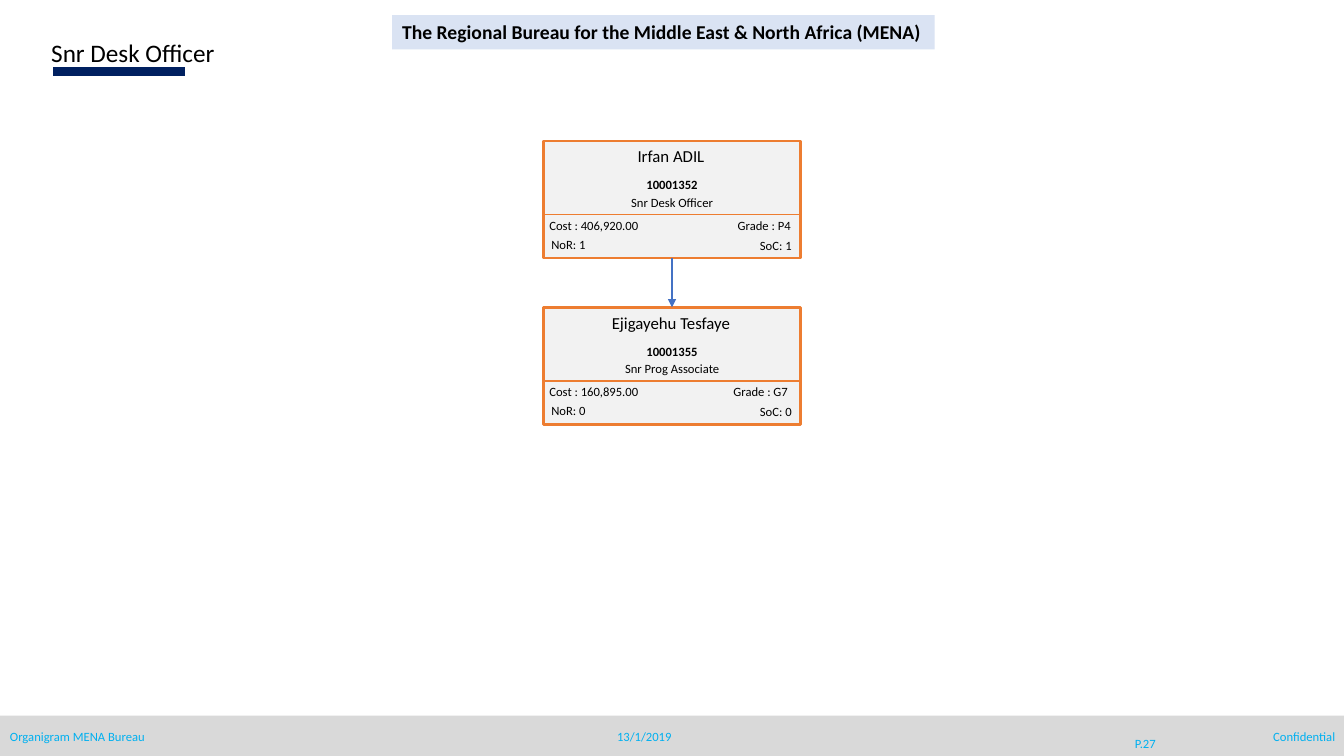
"""Build the Snr Desk Officer organigram slide."""
from pptx import Presentation
from pptx.dml.color import RGBColor
from pptx.enum.shapes import MSO_CONNECTOR, MSO_SHAPE
from pptx.enum.text import MSO_ANCHOR, PP_ALIGN
from pptx.oxml.ns import qn
from pptx.util import Inches, Pt
from lxml import etree

LEFT, CENTER, RIGHT = PP_ALIGN.LEFT, PP_ALIGN.CENTER, PP_ALIGN.RIGHT
TOP, MIDDLE = MSO_ANCHOR.TOP, MSO_ANCHOR.MIDDLE
rgb = RGBColor.from_string

deck = Presentation()
deck.slide_width, deck.slide_height = Inches(13.33), Inches(7.5)
slide = deck.slides.add_slide(deck.slide_layouts[6])
shapes = slide.shapes


def write(box, words, size, color="000000", align=LEFT, bold=False, anchor=TOP, wrap=True):
    frame = box.text_frame
    frame.word_wrap = wrap
    frame.vertical_anchor = anchor
    line = frame.paragraphs[0]
    line.alignment = align
    run = line.add_run()
    run.text = words
    run.font.name, run.font.size, run.font.bold = "Calibri", Pt(size), bold
    run.font.color.rgb = rgb(color)


def connect(x1, y1, x2, y2, color, width):
    link = shapes.add_connector(
        MSO_CONNECTOR.STRAIGHT, Inches(x1), Inches(y1), Inches(x2), Inches(y2))
    link.line.color.rgb = rgb(color)
    link.line.width = Pt(width)
    etree.SubElement(link._element.spPr, qn("a:effectLst"))
    return link


connect(0.53, 0.71, 1.84, 0.71, "002060", 7)

footer = shapes.add_shape(
    MSO_SHAPE.RECTANGLE, Inches(0), Inches(7.1), Inches(13.33), Inches(0.41))
footer.shadow.inherit = False
footer.fill.solid()
footer.fill.fore_color.rgb = rgb("D9D9D9")
footer.line.fill.background()

for words, left, width, height, align, anchor in [
    ("Organigram MENA Bureau", 0, 3.08, 0.25, LEFT, TOP),
    ("13/1/2019", 5.95, 0.88, 0.25, CENTER, MIDDLE),
    ("P.27", 10.96, 0.8, 0.4, CENTER, MIDDLE),
    ("Confidential", 10.26, 3.08, 0.25, RIGHT, TOP),
]:
    note = shapes.add_textbox(Inches(left), Inches(7.18), Inches(width), Inches(height))
    write(note, words, 9, "00B0F0", align, anchor=anchor)

heading = shapes.add_textbox(Inches(0.41), Inches(0.32), Inches(5.3), Inches(0.41))
write(heading, "Snr Desk Officer", 18)

bureau = shapes.add_shape(
    MSO_SHAPE.RECTANGLE, Inches(3.89), Inches(0.15), Inches(5.38), Inches(0.34))
bureau.shadow.inherit = False
bureau.fill.solid()
bureau.fill.fore_color.rgb = rgb("DAE3F3")
bureau.line.fill.background()
write(bureau, "The Regional Bureau for the Middle East & North Africa (MENA)", 14,
      bold=True, wrap=False)

card_left, card_width, card_height = 5.39, 2.55, 1.16
fields = [
    (-0.02, 0, 2.57, 0.31, 12, CENTER, False),
    (0, 0.31, 2.55, 0.25, 9, CENTER, True),
    (0, 0.48, 2.55, 0.25, 9, CENTER, False),
    (-0.04, 0.71, 1.58, 0.25, 9, LEFT, False),
    (1.33, 0.71, 1.22, 0.25, 9, RIGHT, False),
    (-0.02, 0.9, 0.78, 0.25, 9, LEFT, False),
    (1.54, 0.91, 1.02, 0.25, 9, RIGHT, False),
]
staff = [
    (1.4, ["Irfan ADIL", "10001352", "Snr Desk Officer",
           "Cost : 406,920.00", "Grade : P4", "NoR: 1", "SoC: 1"]),
    (3.05, ["Ejigayehu Tesfaye", "10001355", "Snr Prog Associate",
            "Cost : 160,895.00", "Grade : G7 ", "NoR: 0", "SoC: 0"]),
]
cards = []
for top, details in staff:
    card = shapes.add_shape(MSO_SHAPE.RECTANGLE, Inches(card_left), Inches(top),
                            Inches(card_width), Inches(card_height))
    card.shadow.inherit = False
    card.fill.solid()
    card.fill.fore_color.rgb = rgb("F2F2F2")
    card.line.color.rgb = rgb("ED7D31")
    card.line.width = Pt(2)
    cards.append(card)
    connect(card_left, top + 0.73, card_left + card_width, top + 0.73, "ED7D31", 1)
    for words, (dx, dy, width, height, size, align, bold) in zip(details, fields):
        detail = shapes.add_textbox(Inches(card_left + dx), Inches(top + dy),
                                    Inches(width), Inches(height))
        write(detail, words, size, align=align, bold=bold)

officer, associate = cards
reporting = connect(6.67, 2.56, 6.67, 3.05, "4472C4", 1.5)
reporting.begin_connect(officer, 2)
reporting.end_connect(associate, 0)
etree.SubElement(reporting.line._get_or_add_ln(), qn("a:tailEnd"), type="triangle")

deck.save("out.pptx")
